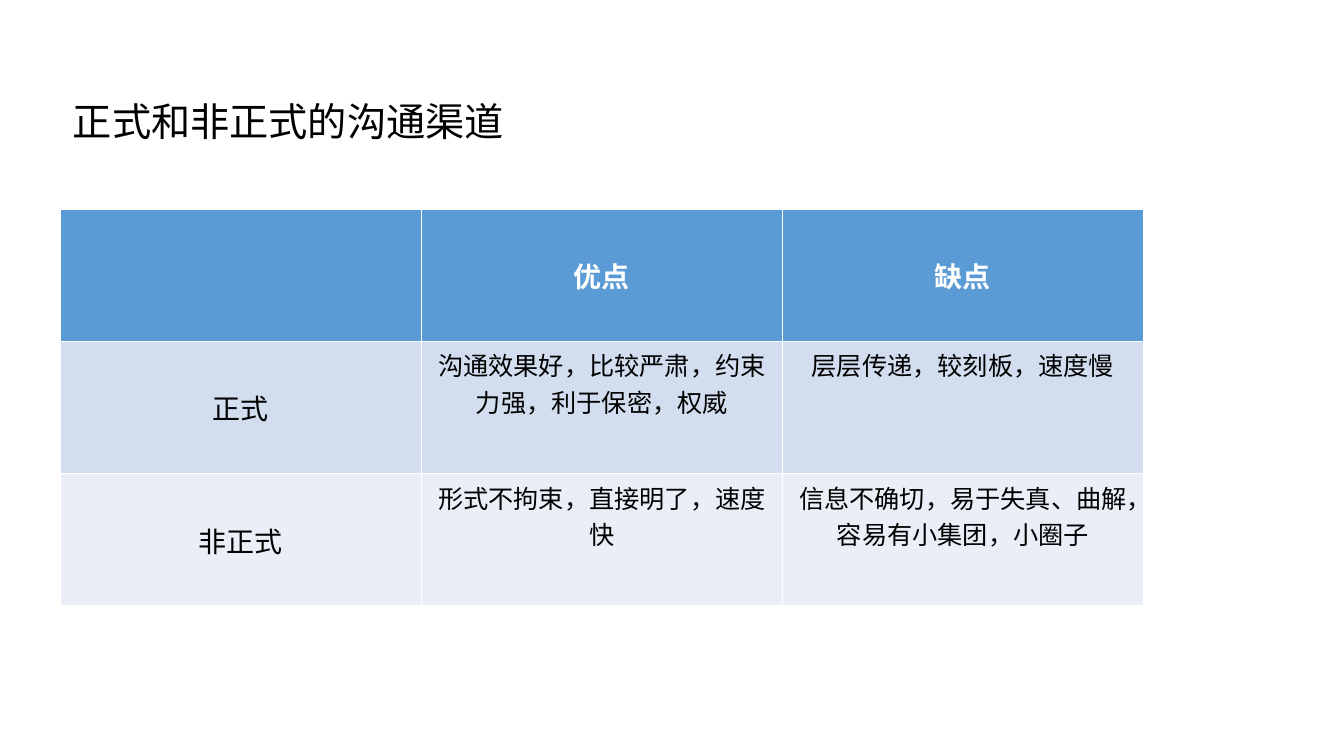
from typing import NamedTuple

from lxml.etree import SubElement
from pptx import Presentation
from pptx.dml.color import RGBColor
from pptx.enum.text import MSO_ANCHOR as Anchor, MSO_AUTO_SIZE as Fit, PP_ALIGN as Align
from pptx.oxml.ns import qn
from pptx.util import Inches, Pt

FONT = "Noto Sans CJK SC"
BLACK = RGBColor(0x00, 0x00, 0x00)
WHITE = RGBColor(0xFF, 0xFF, 0xFF)
BLUE = RGBColor(0x5B, 0x9B, 0xD5)
PALE = RGBColor(0xD2, 0xDE, 0xEF)
MIST = RGBColor(0xEA, 0xEF, 0xF7)


class Row(NamedTuple):
    texts: tuple[str, str, str]
    fill: RGBColor
    ink: RGBColor = BLACK
    head: bool = False


ROWS = [
    Row(("", "优点", "缺点"), BLUE, WHITE, True),
    Row(("正式", "沟通效果好，比较严肃，约束力强，利于保密，权威", "层层传递，较刻板，速度慢"), PALE),
    Row(("非正式", "形式不拘束，直接明了，速度快", "信息不确切，易于失真、曲解，容易有小集团，小圈子"), MIST),
]


def write(frame, text: str, size: int, ink: RGBColor, bold: bool = False) -> None:
    """Add one centred run to the first paragraph of a text frame."""
    para = frame.paragraphs[0]
    para.alignment = Align.CENTER
    run = para.add_run()
    run.text = text
    font = run.font
    font.size, font.bold, font.name = Pt(size), bold, FONT
    font.color.rgb = ink
    # East Asian letters take their own typeface
    SubElement(font._element, qn("a:ea")).set("typeface", FONT)


def add_title(slide) -> None:
    title = slide.shapes.title
    title.left, title.top = Inches(0.6), Inches(0.68)
    title.width, title.height = Inches(4.52), Inches(0.73)
    frame = title.text_frame
    frame.word_wrap = False
    frame.auto_size = Fit.SHAPE_TO_FIT_TEXT
    frame.vertical_anchor = Anchor.TOP
    write(frame, "正式和非正式的沟通渠道", 28, BLACK)
    frame.paragraphs[0].line_spacing = 1.5


def add_grid(slide) -> None:
    grid = slide.shapes.add_table(
        3, 3, Inches(0.6), Inches(2.08), Inches(10.74), Inches(3.93)
    ).table
    for r, row in enumerate(ROWS):
        grid.rows[r].height = Inches(1.31)
        for c, text in enumerate(row.texts):
            cell = grid.cell(r, c)
            cell.fill.solid()
            cell.fill.fore_color.rgb = row.fill
            # Labels sit in the middle, details at the top
            label = row.head or c == 0
            cell.vertical_anchor = Anchor.MIDDLE if label else Anchor.TOP
            if text:
                write(cell.text_frame, text, 20 if label else 18, row.ink, row.head)


def main() -> None:
    deck = Presentation()
    deck.slide_width, deck.slide_height = Inches(13.33), Inches(7.5)
    slide = deck.slides.add_slide(deck.slide_layouts[5])
    add_title(slide)
    add_grid(slide)
    deck.save("out.pptx")


if __name__ == "__main__":
    main()
